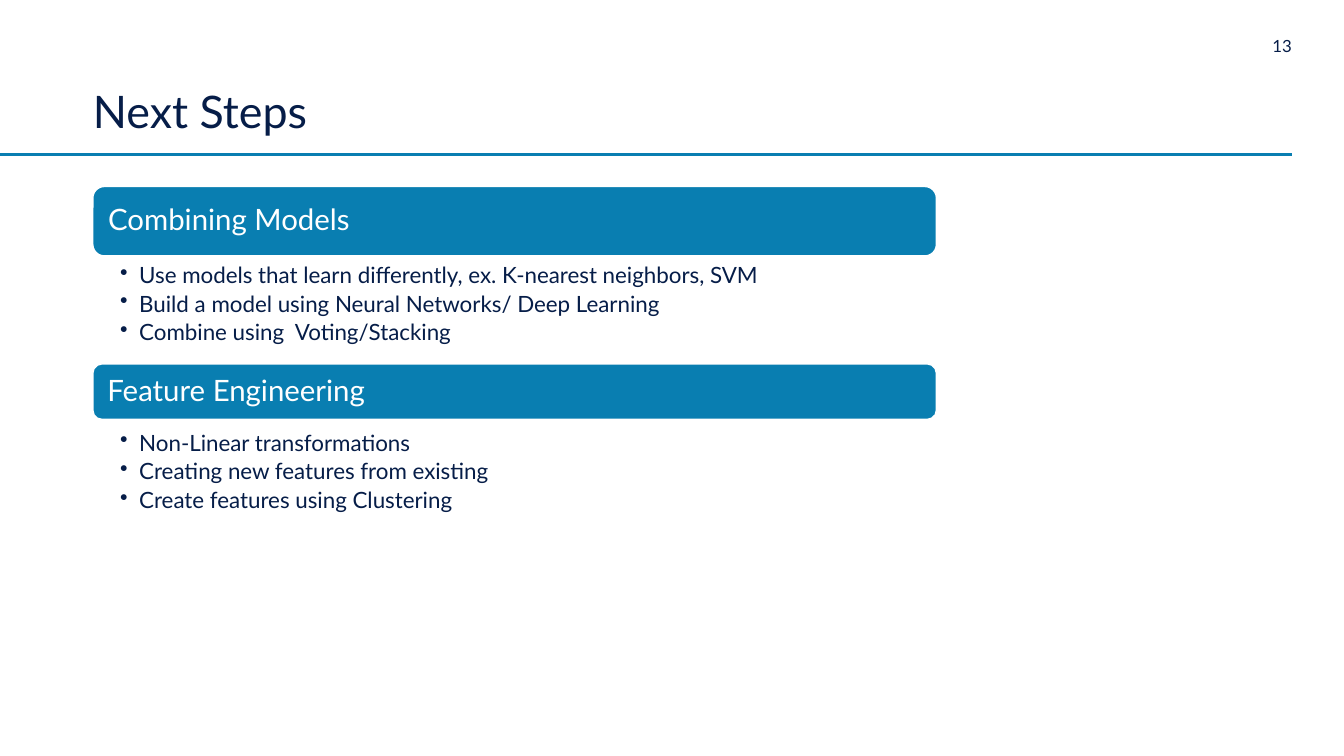
import pptx
import pptx.util
import pptx.dml.color
import pptx.enum.shapes
import pptx.enum.text
import pptx.oxml.ns
import lxml.etree

Cm = pptx.util.Cm
Pt = pptx.util.Pt
ANCHOR = pptx.enum.text.MSO_ANCHOR
ALIGN = pptx.enum.text.PP_ALIGN

COLORS = {"navy": "061D48", "teal": "097EB1", "white": "FFFFFF"}
FONT = "Lato"
LEFT, WIDTH = 2.34, 21.26

SECTIONS = [
    ("Combining Models", 4.7, 1.75, 0.13, [
        "Use models that learn differently, ex. K-nearest neighbors, SVM",
        "Build a model using Neural Networks/ Deep Learning",
        "Combine using  Voting/Stacking",
    ]),
    ("Feature Engineering", 9.17, 1.4, 0.23, [
        "Non-Linear transformations",
        "Creating new features from existing",
        "Create features using Clustering",
    ]),
]


def color(name):
    return pptx.dml.color.RGBColor.from_string(COLORS[name])


def format_frame(frame, anchor, insets):
    frame.word_wrap = True
    frame.auto_size = pptx.enum.text.MSO_AUTO_SIZE.NONE
    frame.vertical_anchor = anchor
    frame.margin_left, frame.margin_top, frame.margin_right, frame.margin_bottom = map(Cm, insets)


def format_paragraph(paragraph, size, color_name, align=ALIGN.LEFT, spacing=0.9):
    paragraph.alignment = align
    paragraph.line_spacing = spacing
    for run in paragraph.runs:
        run.font.name = FONT
        run.font.size = Pt(size)
        run.font.color.rgb = color(color_name)


def add_bullet(paragraph, indent):
    properties = paragraph._p.get_or_add_pPr()
    properties.set("marL", str(indent))
    properties.set("indent", str(-indent))
    bullet = lxml.etree.SubElement(properties, pptx.oxml.ns.qn("a:buChar"))
    bullet.set("char", "•")


def add_heading(slide, left, top, width, height):
    title = slide.shapes.title
    title.left, title.top, title.width, title.height = map(Cm, (left, top, width, height))
    title.text_frame.text = "Next Steps"
    format_frame(title.text_frame, ANCHOR.BOTTOM, (0, 0, 0, 0))
    format_paragraph(title.text_frame.paragraphs[0], 32, "navy")

    rule_top = Cm(top + height + 0.41)
    rule = slide.shapes.add_connector(
        pptx.enum.shapes.MSO_CONNECTOR.STRAIGHT, 0, rule_top, Cm(32.56), rule_top)
    rule.line.color.rgb = color("teal")
    rule.line.width = Pt(2.25)
    lxml.etree.SubElement(rule._element.spPr, pptx.oxml.ns.qn("a:effectLst"))


def add_page_number(slide, left, top, width, height):
    number = slide.shapes.add_textbox(*map(Cm, (left, top, width, height)))
    number.text_frame.text = "13"
    format_frame(number.text_frame, ANCHOR.TOP, (0, 0, 0, 0))
    format_paragraph(number.text_frame.paragraphs[0], 12, "navy", ALIGN.RIGHT, 1.0)


def add_section(slide, left, top, width, header_height, gap, heading, steps):
    header = slide.shapes.add_shape(
        pptx.enum.shapes.MSO_SHAPE.ROUNDED_RECTANGLE,
        *map(Cm, (left, top, width, header_height)))
    header.shadow.inherit = False
    header.fill.solid()
    header.fill.fore_color.rgb = color("teal")
    header.line.color.rgb = color("white")
    header.line.width = Pt(1)
    header.text_frame.text = heading
    format_frame(header.text_frame, ANCHOR.MIDDLE, (0.3, 0.23, 0.3, 0.23))
    format_paragraph(header.text_frame.paragraphs[0], 21, "white")

    details = slide.shapes.add_textbox(
        *map(Cm, (left, top + header_height + gap, width, 2.4)))
    details.text_frame.text = "\n".join(steps)
    format_frame(details.text_frame, ANCHOR.TOP, (0.69, 0.08, 0.41, 0.08))
    for paragraph in details.text_frame.paragraphs:
        paragraph.level = 1
        add_bullet(paragraph, Cm(0.48))
        format_paragraph(paragraph, 16, "navy")
        paragraph.space_after = Pt(3.2)


def main():
    deck = pptx.Presentation()
    deck.slide_width, deck.slide_height = Cm(33.87), Cm(19.05)
    slide = deck.slides.add_slide(deck.slide_layouts.get_by_name("Title Only"))
    add_heading(slide, LEFT, 0.86, 24.66, 2.62)
    add_page_number(slide, 31.52, 0.91, 1.04, 0.51)
    for heading, top, header_height, gap, steps in SECTIONS:
        add_section(slide, LEFT, top, WIDTH, header_height, gap, heading, steps)
    deck.save("out.pptx")


if __name__ == "__main__":
    main()
